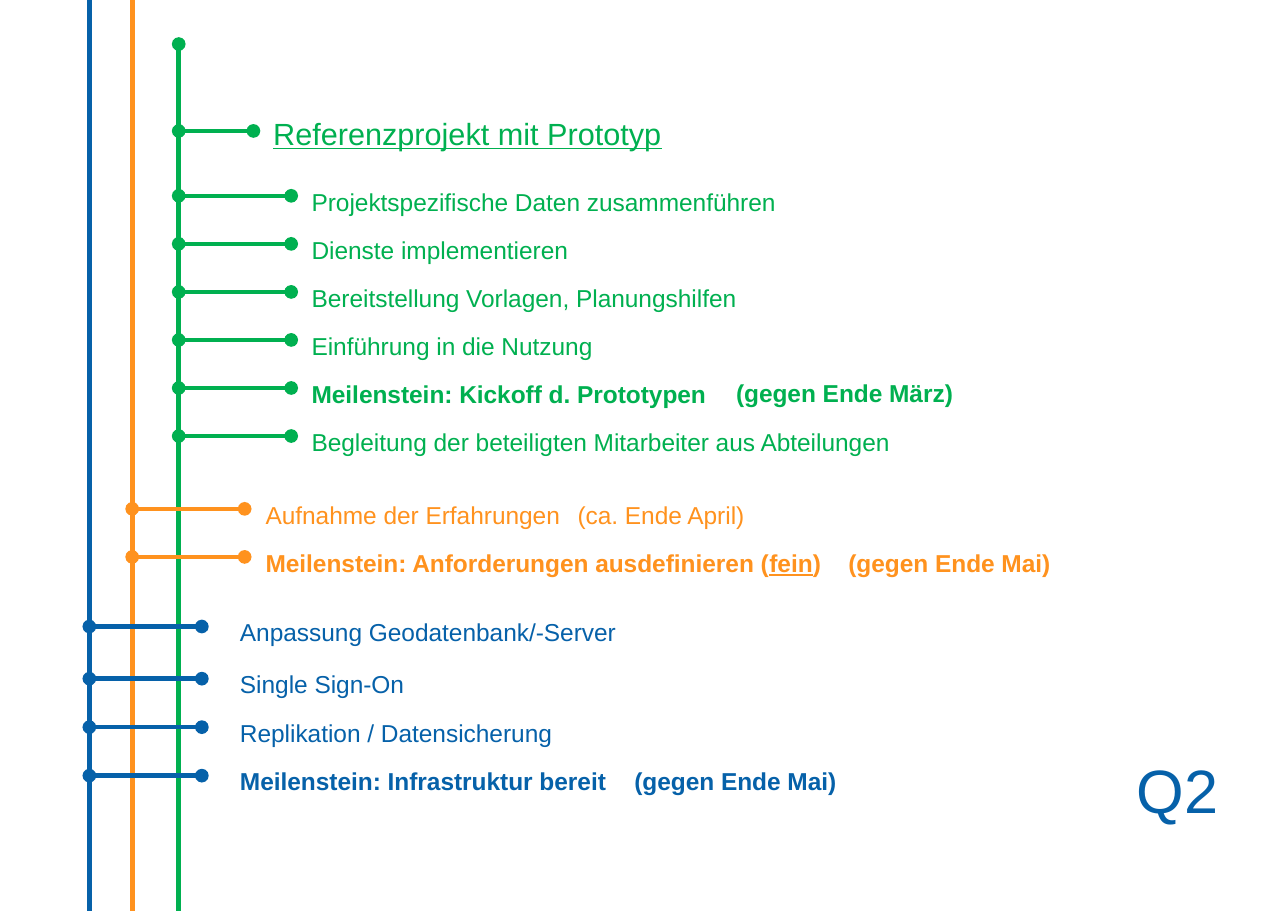
from dataclasses import dataclass

from lxml.etree import SubElement
from pptx import Presentation
from pptx.dml.color import RGBColor
from pptx.enum.shapes import MSO_CONNECTOR
from pptx.enum.text import MSO_ANCHOR, MSO_AUTO_SIZE, PP_ALIGN
from pptx.oxml.ns import qn
from pptx.shapes.base import BaseShape
from pptx.slide import Slide
from pptx.text.text import TextFrame
from pptx.util import Pt

GREEN = RGBColor(0x00, 0xB0, 0x50)
ORANGE = RGBColor(0xFF, 0x92, 0x1E)
BLUE = RGBColor(0x06, 0x61, 0xA9)

SLIDE_WIDTH, SLIDE_HEIGHT = 841.68, 595.44
LINE_HEIGHT = 26
TEXT_RISE = 12.8  # from the branch line up to the top of its text
BRANCH_LENGTH = 73.5


@dataclass(frozen=True)
class Run:
    text: str
    bold: bool = False
    underline: bool = False


@dataclass(frozen=True)
class Entry:
    y: float
    runs: tuple[Run, ...]


@dataclass(frozen=True)
class Track:
    color: RGBColor
    x: float
    top: float
    text_left: float
    text_width: float
    placeholder: int
    entries: tuple[Entry, ...]


@dataclass(frozen=True)
class Label:
    run: Run
    left: float
    top: float
    width: float
    color: RGBColor
    size: float = 16


def evenly(start: float, pitch: float, *runs: Run) -> tuple[Entry, ...]:
    return tuple(Entry(start + pitch * index, (run,)) for index, run in enumerate(runs))


GREEN_TRACK = Track(GREEN, 116.8, 28.8, 203.6, 420, 1, evenly(
    128, 31.4,
    Run("Projektspezifische Daten zusammenführen"),
    Run("Dienste implementieren"),
    Run("Bereitstellung Vorlagen, Planungshilfen"),
    Run("Einführung in die Nutzung"),
    Run("Meilenstein: Kickoff d. Prototypen", bold=True),
    Run("Begleitung der beteiligten Mitarbeiter aus Abteilungen"),
))
ORANGE_TRACK = Track(ORANGE, 86.4, 0, 173.5, 378, 2, (
    Entry(332.6, (Run("Aufnahme der Erfahrungen"),)),
    Entry(364, (
        Run("Meilenstein: Anforderungen ausdefinieren (", bold=True),
        Run("fein", bold=True, underline=True),
        Run(")", bold=True),
    )),
))
BLUE_TRACK = Track(BLUE, 58.4, 0, 156.8, 255, 3, (
    Entry(409.5, (Run("Anpassung Geodatenbank/-Server"),)),
    *evenly(
        443.6, 31.7,
        Run("Single Sign-On"),
        Run("Replikation / Datensicherung"),
        Run("Meilenstein: Infrastruktur bereit", bold=True),
    ),
))
TRACKS = (ORANGE_TRACK, GREEN_TRACK, BLUE_TRACK)

HEADING = Label(Run("Referenzprojekt mit Prototyp", underline=True), 178.5, 72.8, 270, GREEN, 20)
HEADING_Y, HEADING_BRANCH = 85.6, 48.8

LABELS = (
    Label(Run("(gegen Ende März)", bold=True), 481, 240.6, 143.2, GREEN),
    Label(Run("(ca. Ende April)"), 377.4, 319.8, 110, ORANGE),
    Label(Run("(gegen Ende Mai)", bold=True), 554.4, 351.5, 134, ORANGE),
    Label(Run("(gegen Ende Mai)", bold=True), 414.5, 493.6, 134, BLUE),
    Label(Run("Q2"), 743, 514, 54, BLUE, 40),
)


def add_line(slide: Slide, start: tuple[float, float], end: tuple[float, float],
             color: RGBColor, ends: tuple[str, ...] = ()) -> None:
    points = [Pt(value) for value in (*start, *end)]
    connector = slide.shapes.add_connector(MSO_CONNECTOR.STRAIGHT, *points)
    connector.line.color.rgb = color
    connector.line.width = Pt(3)
    line_element = connector.line._get_or_add_ln()
    for end_name in ends:
        SubElement(line_element, qn(f"a:{end_name}"), type="oval")
    SubElement(connector._element.spPr, qn("a:effectLst"))


def add_branch(slide: Slide, x: float, y: float, length: float, color: RGBColor) -> None:
    add_line(slide, (x, y), (x + length, y), color, ("headEnd", "tailEnd"))


def place(shape: BaseShape, left: float, top: float, width: float, height: float,
          wrap: bool = True) -> TextFrame:
    bounds = {"left": left, "top": top, "width": width, "height": height}
    for name, value in bounds.items():
        setattr(shape, name, Pt(value))
    frame_format = {
        "margin_left": 0, "margin_top": 0, "margin_right": 0, "margin_bottom": 0,
        "word_wrap": wrap,
        "auto_size": MSO_AUTO_SIZE.NONE,
        "vertical_anchor": MSO_ANCHOR.TOP,
    }
    for name, value in frame_format.items():
        setattr(shape.text_frame, name, value)
    return shape.text_frame


def write_paragraph(frame: TextFrame, index: int, runs: tuple[Run, ...], color: RGBColor,
                    size: float = 16, space_before: float = 0) -> None:
    paragraph = frame.add_paragraph() if index else frame.paragraphs[0]
    paragraph_format = {
        "alignment": PP_ALIGN.LEFT,
        "line_spacing": Pt(LINE_HEIGHT),
        "space_before": Pt(space_before),
        "space_after": Pt(0),
    }
    for name, value in paragraph_format.items():
        setattr(paragraph, name, value)
    properties = paragraph._p.get_or_add_pPr()
    properties.set("marL", "0")
    properties.set("indent", "0")
    SubElement(properties, qn("a:buNone"))
    for item in runs:
        run = paragraph.add_run()
        run.text = item.text
        run.font.color.rgb = color
        font_format = {"name": "Arial", "size": Pt(size),
                       "bold": item.bold, "underline": item.underline}
        for name, value in font_format.items():
            setattr(run.font, name, value)


def fill_list(shape: BaseShape, track: Track) -> None:
    first, last = track.entries[0].y, track.entries[-1].y
    frame = place(shape, track.text_left, first - TEXT_RISE,
                  track.text_width, last - first + LINE_HEIGHT)
    previous_y = first - LINE_HEIGHT
    for index, entry in enumerate(track.entries):
        gap = round(entry.y - previous_y - LINE_HEIGHT, 2)
        write_paragraph(frame, index, entry.runs, track.color, space_before=gap)
        previous_y = entry.y


def fill_label(shape: BaseShape, label: Label) -> None:
    frame = place(shape, label.left, label.top, label.width, LINE_HEIGHT, wrap=False)
    write_paragraph(frame, 0, (label.run,), label.color, label.size)


def main() -> None:
    presentation = Presentation()
    presentation.slide_width = Pt(SLIDE_WIDTH)
    presentation.slide_height = Pt(SLIDE_HEIGHT)
    slide = presentation.slides.add_slide(presentation.slide_layouts.get_by_name("Comparison"))
    placeholders = {shape.placeholder_format.idx: shape for shape in slide.placeholders}

    # Vertical tracks; only the green one starts on the slide
    for track in TRACKS:
        ends = ("headEnd",) if track.top else ()
        add_line(slide, (track.x, track.top), (track.x, SLIDE_HEIGHT), track.color, ends)

    # Heading
    fill_label(slide.shapes.title, HEADING)
    add_branch(slide, GREEN_TRACK.x, HEADING_Y, HEADING_BRANCH, GREEN)

    # Lists and their branches
    for track in TRACKS:
        fill_list(placeholders[track.placeholder], track)
        for entry in track.entries:
            add_branch(slide, track.x, entry.y, BRANCH_LENGTH, track.color)

    # Dates and quarter
    for label in LABELS:
        fill_label(slide.shapes.add_textbox(0, 0, 0, 0), label)

    # The layout's fourth list is not needed
    spare = placeholders[4]._element
    spare.getparent().remove(spare)

    presentation.save("out.pptx")


if __name__ == "__main__":
    main()
